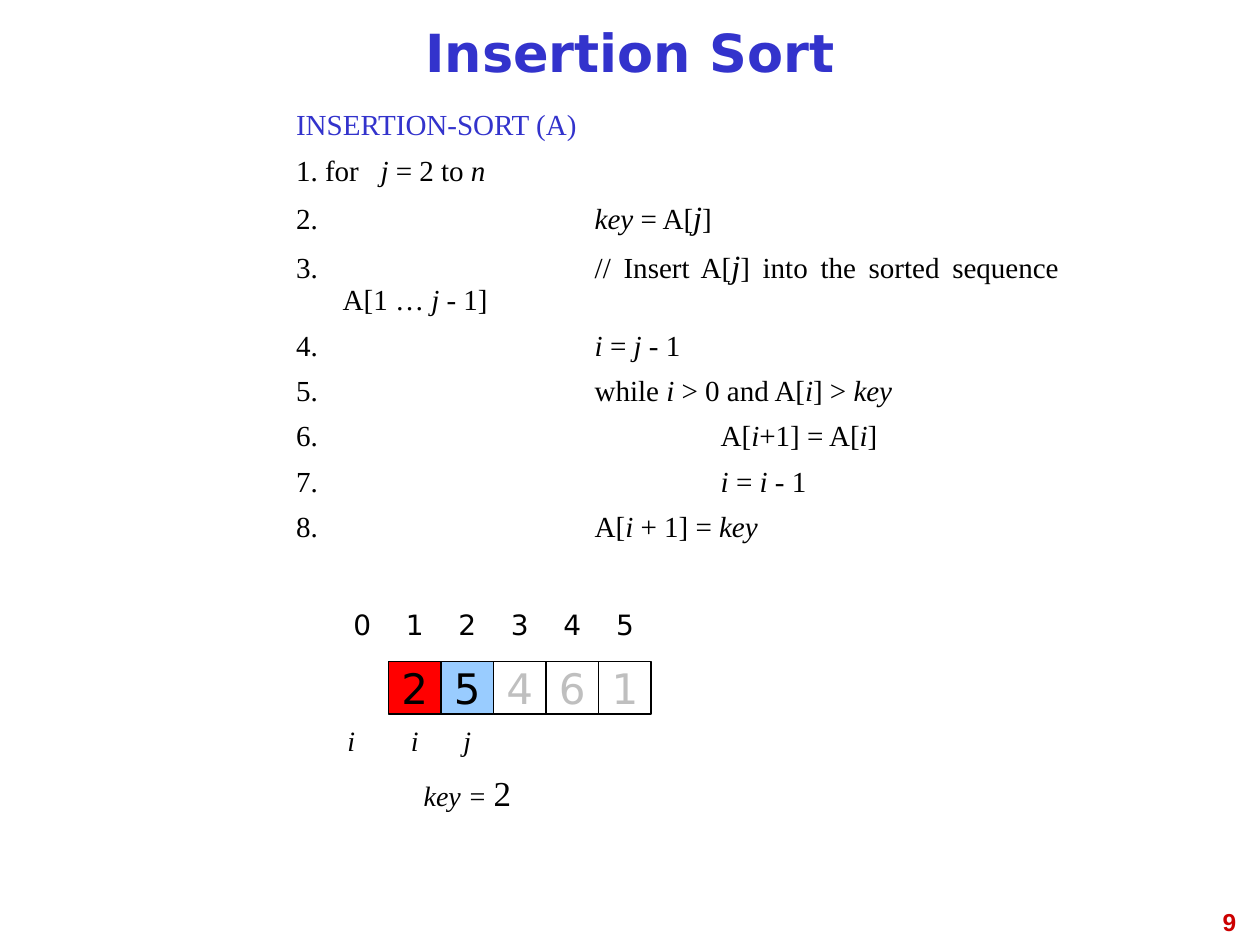
from dataclasses import dataclass
from pptx import Presentation
from pptx.dml.color import RGBColor
from pptx.enum.shapes import MSO_SHAPE
from pptx.enum.text import MSO_ANCHOR, MSO_AUTO_SIZE, PP_ALIGN
from pptx.oxml.ns import qn
from pptx.util import Inches, Pt

RECT = MSO_SHAPE.RECTANGLE
MIDDLE, TOP = MSO_ANCHOR.MIDDLE, MSO_ANCHOR.TOP
FIXED = MSO_AUTO_SIZE.NONE
CENTER, RIGHT, JUSTIFY = PP_ALIGN.CENTER, PP_ALIGN.RIGHT, PP_ALIGN.JUSTIFY


@dataclass(frozen=True)
class Theme:
    """Hold the colours, fonts and type sizes."""
    blue: str = "3333CC"
    black: str = "000000"
    gray: str = "BFBFBF"
    red: str = "FF0000"
    sky: str = "99CCFF"
    page: str = "CC0000"
    sans: str = "DejaVu Sans"
    serif: str = "Times New Roman"
    arial: str = "Arial"
    head: float = 30
    code: float = 16.6
    large: float = 18.5
    digit: float = 24
    label: float = 16
    value: float = 20
    foot: float = 14


THEME = Theme()
CELL = 0.417
LEFT = 3.083
CODE = [
    "INSERTION-SORT (A)",
    "1. for  _ j_ = 2 to _n_",
    "2. \t\t\t_key_ = A[_^j_]",
    "3.\t\t\t// Insert A[_^j_] into the sorted sequence A[1 … _j _- 1]",
    "4.\t\t\t_i_ = _j _- 1",
    "5.\t\t\twhile _i_ > 0 and A[_i_] > _key_",
    "6.\t\t\t\tA[_i_+1] = A[_i_]",
    "7.\t\t\t\t_i_ = _i _- 1",
    "8.\t\t\tA[_i _+ 1] = _key_",
]
CELLS = [
    ("2", THEME.red, THEME.black),
    ("5", THEME.sky, THEME.black),
    ("4", None, THEME.gray),
    ("6", None, THEME.gray),
    ("1", None, THEME.gray),
]


def write(para, text, size, font, color=THEME.black, bold=False, italic=False):
    """Add a formatted run to a paragraph."""
    run = para.add_run()
    run.text = text
    run.font.size = Pt(size)
    run.font.name = font
    run.font.bold = bold
    run.font.italic = italic
    run.font.color.rgb = RGBColor.from_string(color)


class Board:
    """Draw styled elements on the current slide."""

    def __init__(self, slide, theme):
        """Keep the slide and its theme."""
        self.slide = slide
        self.theme = theme

    def place(self, shape, x, y, w, h):
        """Set the position and size of a placeholder."""
        shape.left, shape.top = Inches(x), Inches(y)
        shape.width, shape.height = Inches(w), Inches(h)
        shape.text_frame.auto_size = FIXED
        return shape.text_frame

    def title(self, text):
        """Fill the title placeholder."""
        frame = self.place(self.slide.shapes.title, 0.5, 0.08, 9, 0.75)
        frame.vertical_anchor = MIDDLE
        para = frame.paragraphs[0]
        para.alignment = CENTER
        para.line_spacing = 0.81
        write(para, text, self.theme.head, self.theme.sans, self.theme.blue, bold=True)

    def code(self, lines):
        """Fill the body with code, italic between underscores."""
        theme = self.theme
        frame = self.place(self.slide.placeholders[1], 2.25, 0.83, 6.25, 3.92)
        frame.vertical_anchor = TOP
        for row, line in enumerate(lines):
            para = frame.add_paragraph() if row else frame.paragraphs[0]
            para.alignment = JUSTIFY
            para.line_spacing = 0.9
            para.space_before = Pt(8)
            props = para._p.get_or_add_pPr()
            props.set("marL", str(Inches(0.37)))
            props.set("indent", str(-Inches(0.37)))
            props.set("defTabSz", str(Inches(1)))
            props.append(props.makeelement(qn("a:buNone"), {}))
            color = theme.black if row else theme.blue
            for part, text in enumerate(line.split("_")):
                if text:
                    size = theme.large if text.startswith("^") else theme.code
                    write(para, text.lstrip("^"), size, theme.serif, color,
                          italic=part % 2 == 1)

    def label(self, x, y, w, *runs, align=CENTER, h=CELL, anchor=MIDDLE):
        """Add a text box made of runs given as text and format."""
        box = self.slide.shapes.add_textbox(Inches(x), Inches(y), Inches(w), Inches(h))
        frame = box.text_frame
        frame.word_wrap = align == RIGHT
        frame.vertical_anchor = anchor
        para = frame.paragraphs[0]
        para.alignment = align
        for text, style in runs:
            write(para, text, **style)

    def cell(self, x, y, text, fill, color):
        """Add one square of the array."""
        box = self.slide.shapes.add_shape(
            RECT, Inches(x), Inches(y), Inches(CELL), Inches(CELL))
        box.shadow.inherit = False
        if fill:
            box.fill.solid()
            box.fill.fore_color.rgb = RGBColor.from_string(fill)
        else:
            box.fill.background()
        box.line.color.rgb = RGBColor.from_string(self.theme.black)
        box.line.width = Pt(0.75)
        frame = box.text_frame
        frame.word_wrap = False
        frame.vertical_anchor = MIDDLE
        para = frame.paragraphs[0]
        para.alignment = CENTER
        write(para, text, self.theme.digit, self.theme.sans, color)


def main():
    """Build and save the slide."""
    deck = Presentation()
    deck.slide_width, deck.slide_height = Inches(10), Inches(7.5)
    board = Board(deck.slides.add_slide(deck.slide_layouts[1]), THEME)
    index = {"size": THEME.label, "font": THEME.sans}
    name = {"size": THEME.label, "font": THEME.serif, "italic": True}
    value = {"size": THEME.value, "font": THEME.serif}
    page = {"size": THEME.foot, "font": THEME.arial, "color": THEME.page, "bold": True}

    board.title("Insertion Sort")
    board.code(CODE)
    for col in range(6):
        board.label(LEFT + (col - 1) * CELL, 4.75, CELL, (str(col), index))
    for col, (text, fill, color) in enumerate(CELLS):
        board.cell(LEFT + col * CELL, 5.25, text, fill, color)
    for x, text in [(2.58, "i"), (LEFT, "i"), (LEFT + CELL, "j")]:
        board.label(x, 5.67, CELL, (text, name))
    board.label(3.25, 6.08, 0.92, ("key = ", name), ("2", value))
    board.label(7.58, 7.15, 2.33, ("9", page), align=RIGHT, h=0.52, anchor=TOP)
    deck.save("out.pptx")


if __name__ == "__main__":
    main()
